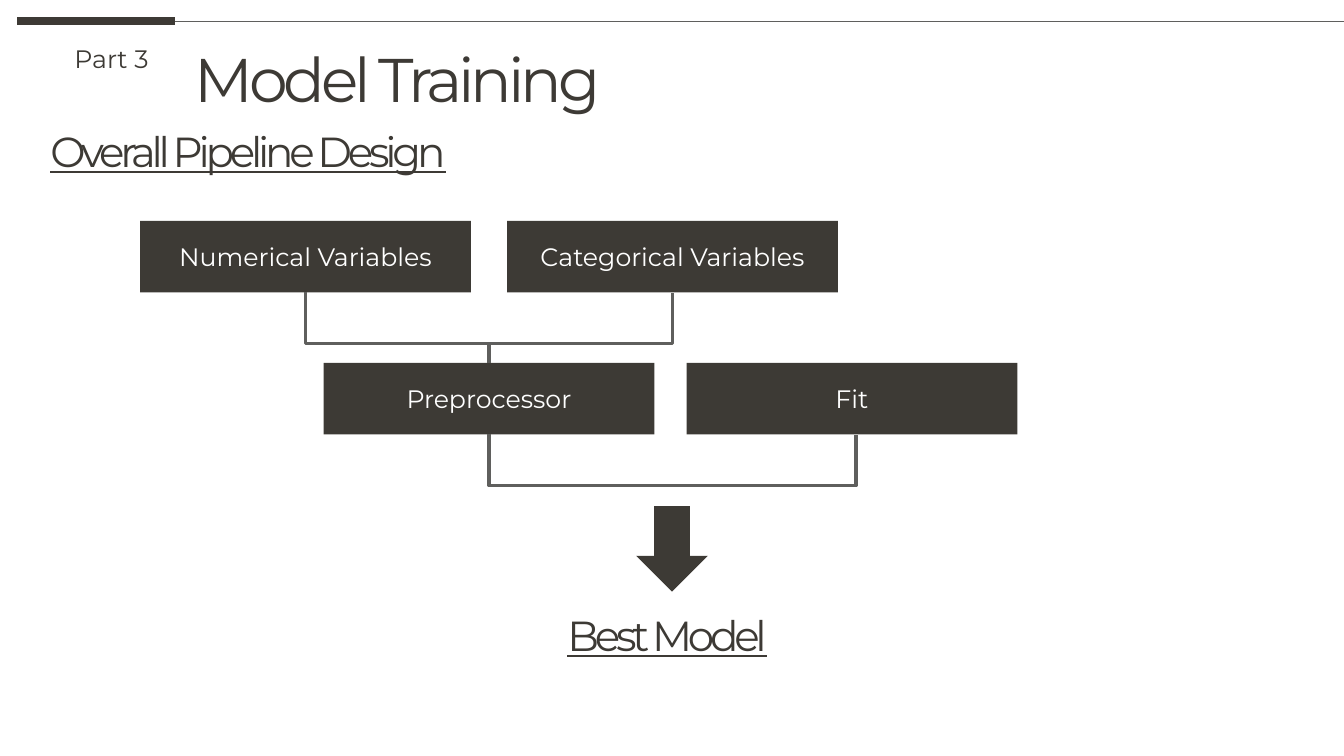
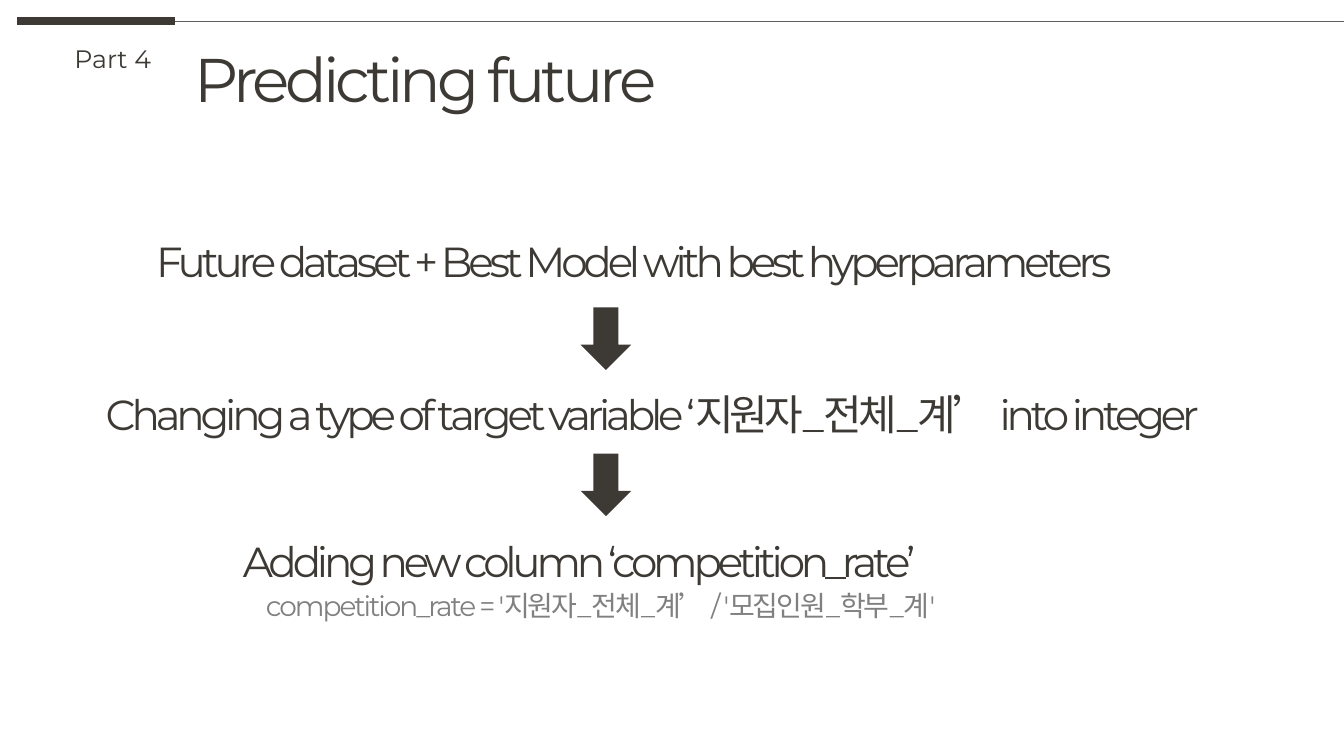
from dataclasses import dataclass

from lxml.etree import SubElement
from pptx import Presentation
from pptx.dml.color import RGBColor
from pptx.enum.shapes import MSO_CONNECTOR, MSO_SHAPE
from pptx.enum.text import MSO_ANCHOR, MSO_AUTO_SIZE, PP_ALIGN
from pptx.oxml.ns import qn
from pptx.shapes.autoshape import Shape
from pptx.shapes.connector import Connector
from pptx.slide import Slide
from pptx.text.text import _Paragraph
from pptx.util import Inches, Pt


@dataclass(frozen=True)
class Theme:
    font: str = "Montserrat"
    dark: RGBColor = RGBColor(0x3D, 0x3A, 0x35)
    line: RGBColor = RGBColor(0x5F, 0x5F, 0x5D)
    gray: RGBColor = RGBColor(0x80, 0x80, 0x80)
    white: RGBColor = RGBColor(0xFF, 0xFF, 0xFF)
    title: int = 44
    head: int = 30
    note: int = 20
    body: int = 18


THEME = Theme()


@dataclass(frozen=True)
class Label:
    text: str
    left: float
    top: float
    width: float
    height: float = 0.61
    size: int = THEME.head
    color: RGBColor = THEME.dark
    space: float = -3
    under: bool = False


@dataclass(frozen=True)
class Box:
    text: str
    left: float
    top: float
    width: float = 3.28
    height: float = 0.71

    @property
    def mid(self) -> float:
        return self.left + self.width / 2

    @property
    def base(self) -> float:
        return self.top + self.height


@dataclass(frozen=True)
class Arrow:
    left: float
    top: float
    width: float = 0.5
    height: float = 0.62


def style(para: _Paragraph, size: int, color: RGBColor) -> None:
    para.font.name = THEME.font
    para.font.size = Pt(size)
    para.font.color.rgb = color


def add_label(slide: Slide, label: Label) -> None:
    shape = slide.shapes.add_textbox(
        Inches(label.left), Inches(label.top), Inches(label.width), Inches(label.height)
    )
    frame = shape.text_frame
    frame.word_wrap = True
    frame.auto_size = MSO_AUTO_SIZE.SHAPE_TO_FIT_TEXT
    para = frame.paragraphs[0]
    para.text = label.text
    style(para, label.size, label.color)
    if label.under:
        para.font.underline = True
    if label.space:
        para._p.pPr.find(qn("a:defRPr")).set("spc", str(round(label.space * 100)))


def add_solid(slide: Slide, kind: MSO_SHAPE, item: Box | Arrow) -> Shape:
    shape = slide.shapes.add_shape(
        kind, Inches(item.left), Inches(item.top), Inches(item.width), Inches(item.height)
    )
    shape.shadow.inherit = False
    shape.fill.solid()
    shape.fill.fore_color.rgb = THEME.dark
    shape.line.fill.background()
    return shape


def add_box(slide: Slide, box: Box) -> Shape:
    shape = add_solid(slide, MSO_SHAPE.RECTANGLE, box)
    shape.text_frame.vertical_anchor = MSO_ANCHOR.MIDDLE
    para = shape.text_frame.paragraphs[0]
    para.text = box.text
    para.alignment = PP_ALIGN.CENTER
    style(para, THEME.body, THEME.white)
    return shape


def add_line(
    slide: Slide,
    start: tuple[float, float],
    end: tuple[float, float],
    width: float,
    color: RGBColor = THEME.line,
    kind: MSO_CONNECTOR = MSO_CONNECTOR.STRAIGHT,
) -> Connector:
    line = slide.shapes.add_connector(kind, *map(Inches, (*start, *end)))
    line.line.color.rgb = color
    line.line.width = Pt(width)
    SubElement(line._element.spPr, qn("a:effectLst"))
    return line


def add_fork(slide: Slide, left: float, right: float, top: float, drop: float) -> None:
    span, thin = right - left, 0.01
    line = add_line(slide, (left, top), (right, top), 2.25, kind=MSO_CONNECTOR.ELBOW)
    line.left = Inches((left + right - thin) / 2)
    line.top = Inches(top - span / 2)
    line.width, line.height = Inches(thin), Inches(span)
    props = line._element.spPr
    frame = props.find(qn("a:xfrm"))
    frame.set("rot", str(270 * 60000))
    frame.set("flipH", "1")
    guides = props.find(qn("a:prstGeom")).get_or_add_avLst()
    bend = round(drop / thin * 100000)
    SubElement(guides, qn("a:gd"), name="adj1", fmla=f"val {bend}")


def add_head(slide: Slide, part: str, title: str, width: float) -> None:
    add_line(slide, (0.17, 0.21), (1.74, 0.21), 6, THEME.dark)
    add_line(slide, (1.74, 0.21), (13.33, 0.21), 0.5)
    add_label(slide, Label(title, 1.83, 0.36, width, 0.84, THEME.title))
    add_label(slide, Label(part, 0.64, 0.38, 0.99, 0.4, THEME.body, space=0))


def draw_train(slide: Slide) -> None:
    add_head(slide, "Part 3", "Model Training", 4.39)
    add_label(slide, Label("Overall Pipeline Design", 0.4, 1.2, 4.29, under=True))
    number = Box("Numerical Variables", 1.39, 2.19)
    group = Box("Categorical Variables", 5.03, 2.19)
    prep = Box("Preprocessor", 3.21, 3.6)
    fit = Box("Fit", 6.81, 3.6)
    shapes = {box: add_box(slide, box) for box in (number, group, prep, fit)}
    drop, span = 0.52, group.mid - number.mid
    for box in (number, prep):
        add_fork(slide, box.mid, box.mid + span, box.base, drop)
    stem = add_line(slide, (prep.mid, prep.top), (prep.mid, number.base + drop), 3)
    stem.begin_connect(shapes[prep], 0)
    add_solid(slide, MSO_SHAPE.DOWN_ARROW, Arrow(6.31, 5.02, 0.71, 0.85))
    add_label(slide, Label("Best Model", 5.53, 6, 2.3, under=True))


def draw_future(slide: Slide) -> None:
    add_head(slide, "Part 4", "Predicting future", 4.98)
    labels = (
        Label("Future dataset + Best Model with best hyperparameters", 1.45, 2.29, 10.15),
        Label("Changing a type of target variable ‘지원자_전체_계’ into integer", 0.95, 3.81, 11.13),
        Label("Adding new column ‘competition_rate’", 2.31, 5.26, 7.12),
        Label(
            "competition_rate = '지원자_전체_계’ / '모집인원_학부_계'",
            2.54, 5.79, 6.94, 0.44, THEME.note, THEME.gray, -1.5,
        ),
    )
    for label in labels:
        add_label(slide, label)
    for top in (3.05, 4.5):
        add_solid(slide, MSO_SHAPE.DOWN_ARROW, Arrow(5.76, top))


def main() -> None:
    deck = Presentation()
    deck.slide_width, deck.slide_height = Inches(13.33), Inches(7.5)
    for draw in (draw_train, draw_future):
        draw(deck.slides.add_slide(deck.slide_layouts[6]))
    deck.save("out.pptx")


if __name__ == "__main__":
    main()
